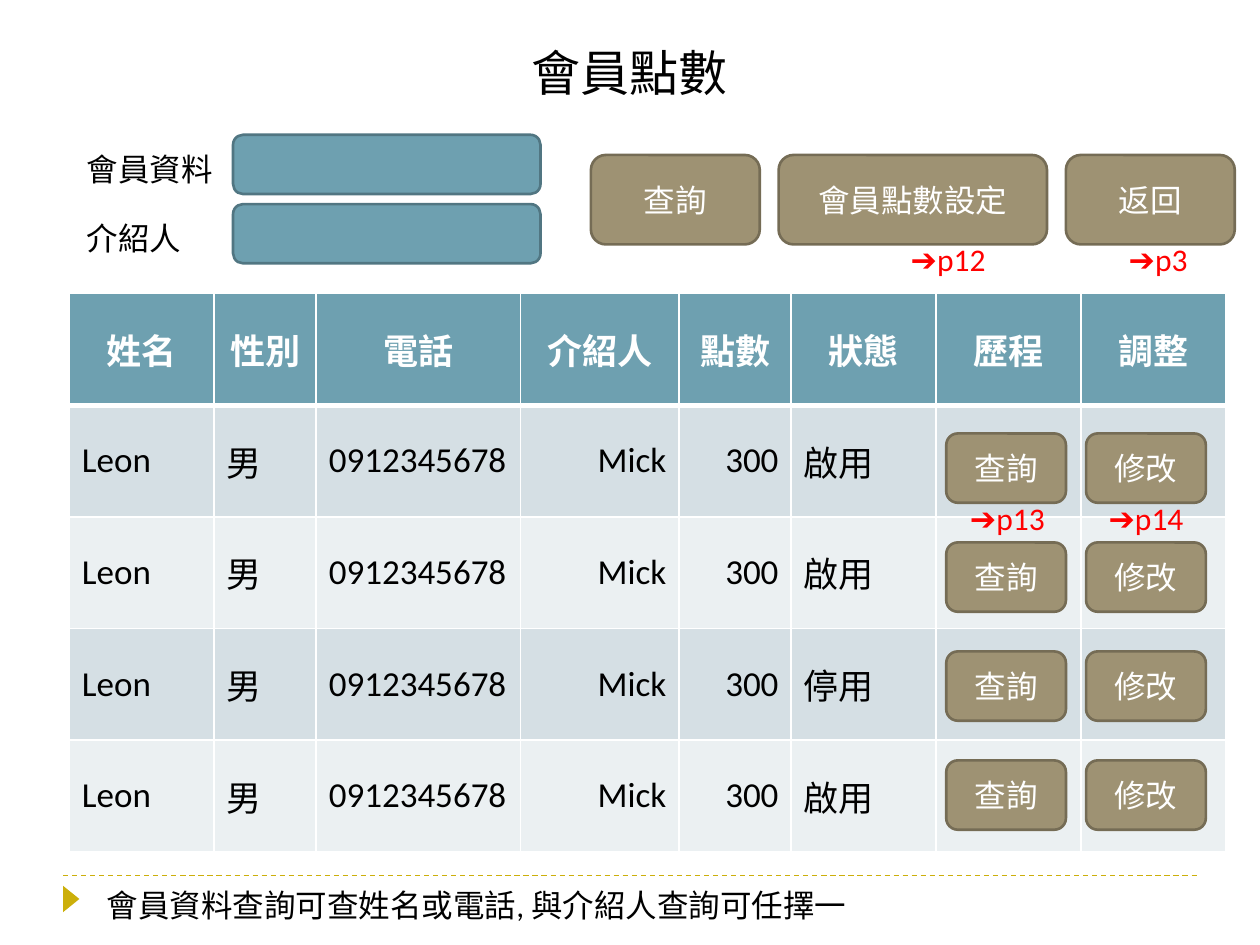
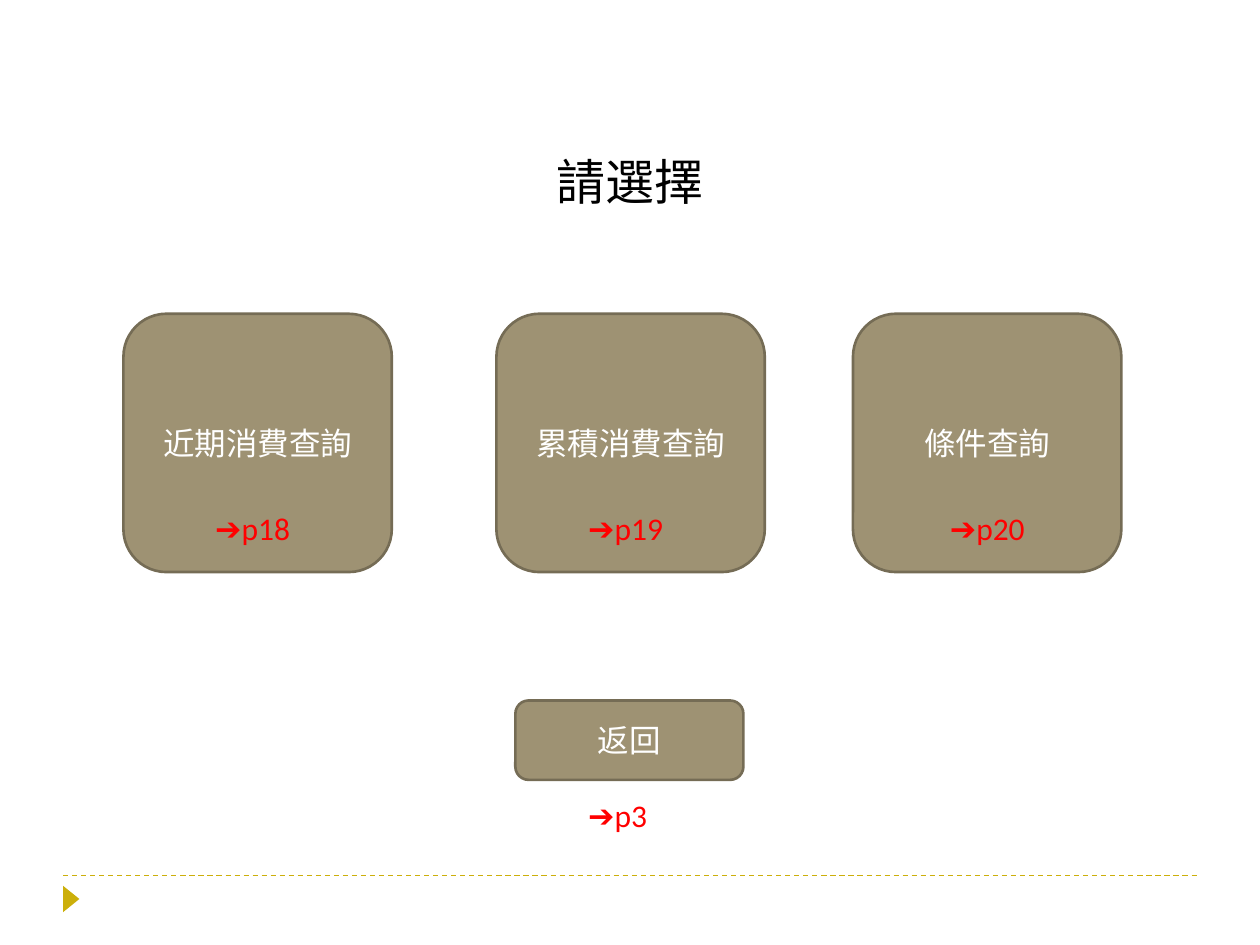
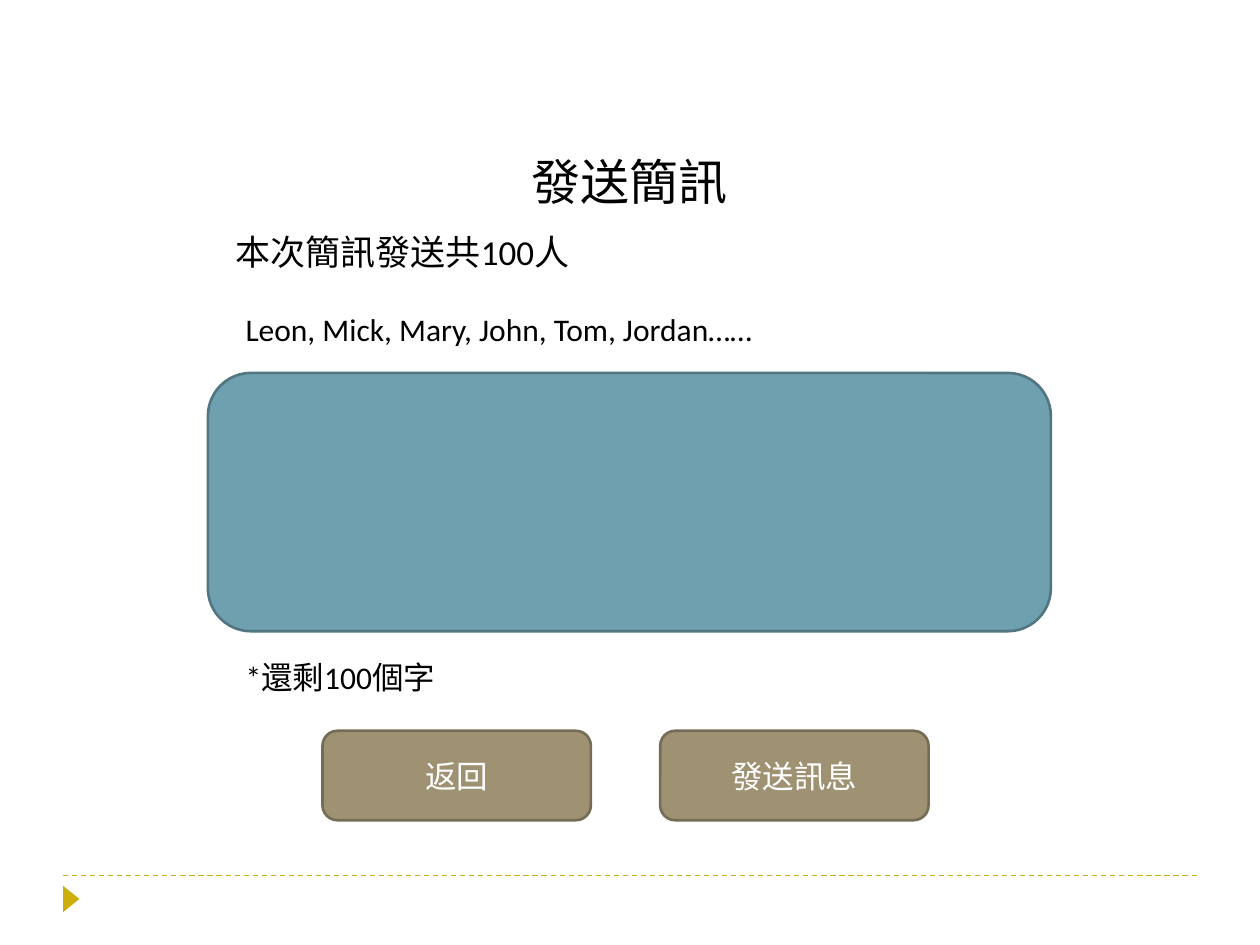
from lxml.etree import SubElement
from pptx import Presentation
from pptx.dml.color import RGBColor
from pptx.enum.dml import MSO_LINE
from pptx.enum.shapes import MSO_CONNECTOR, MSO_SHAPE
from pptx.enum.text import MSO_ANCHOR, MSO_AUTO_SIZE, PP_ALIGN
from pptx.oxml.ns import qn
from pptx.util import Inches, Pt

# Slide grid: 100 columns by 75 rows
WIDTH, HEIGHT = Inches(10), Inches(7.5)
COLUMN, ROW = WIDTH / 100, HEIGHT / 75

FONT = "Calibri"
BLACK, WHITE, RED, GOLD = "000000", "FFFFFF", "FF0000", "CCAF0A"
BUTTON = ("9E9273", "756C55")
FIELD = ("6EA0B0", "517682")
HEADER_FILL, BAND_FILLS = "6EA0B0", ("D5DFE4", "EBF0F2")
BODY_SIZE, LARGE_SIZE, TITLE_SIZE = 18, 20, 28

HEADERS = ["姓名", "性別", "電話", "介紹人", "點數", "狀態", "歷程", "調整"]
STATUSES = ["啟用", "啟用", "停用", "啟用"]
MEMBER_COLUMNS = [11.5, 8.1, 16.2, 12.6, 8.9, 11.5, 11.5, 11.5]
MEMBER_ROW = 8.86
RIGHT_ALIGNED = ("介紹人", "點數")


def rgb(hex_string):
    return RGBColor.from_string(hex_string)


def grid(left, top, width, height):
    return [int(left * COLUMN), int(top * ROW), int(width * COLUMN), int(height * ROW)]


def write(frame, text, size, color, align=PP_ALIGN.LEFT, bold=False):
    frame.text = text
    for paragraph in frame.paragraphs:
        paragraph.alignment = align
        for run in paragraph.runs:
            run.font.name = FONT
            run.font.size = Pt(size)
            run.font.bold = bold
            run.font.color.rgb = rgb(color)


def add_title(slide, text, top, left, width):
    title = slide.shapes.title
    title.left, title.top, title.width, title.height = grid(left, top, width, 5.7)
    frame = title.text_frame
    write(frame, text, TITLE_SIZE, BLACK, PP_ALIGN.CENTER)
    frame.word_wrap = False
    frame.auto_size = MSO_AUTO_SIZE.SHAPE_TO_FIT_TEXT
    frame.vertical_anchor = MSO_ANCHOR.TOP


def add_label(slide, text, left, top, width, size=BODY_SIZE, color=BLACK, wrap=False):
    height = 4.4 if size == LARGE_SIZE else 4
    frame = slide.shapes.add_textbox(*grid(left, top, width, height)).text_frame
    write(frame, text, size, color)
    frame.word_wrap = wrap


def add_page_mark(slide, page, left, top):
    width = 8.6 if page > 9 else 7.3
    add_label(slide, f"➔p{page}", left, top, width, color=RED)


def add_rounded(slide, place, colors, text=""):
    box = slide.shapes.add_shape(MSO_SHAPE.ROUNDED_RECTANGLE, *grid(*place))
    box.shadow.inherit = False
    fill, outline = colors
    box.fill.solid()
    box.fill.fore_color.rgb = rgb(fill)
    box.line.color.rgb = rgb(outline)
    box.line.width = Pt(1.5)
    if text:
        write(box.text_frame, text, BODY_SIZE, WHITE, PP_ALIGN.CENTER)
        box.text_frame.vertical_anchor = MSO_ANCHOR.MIDDLE


def add_footer(layout, slide):
    """Draw the footer rule and marker, then move them to the shared layout."""
    left, top, width, _ = grid(5, 69.5, 90, 0)
    rule = slide.shapes.add_connector(MSO_CONNECTOR.STRAIGHT, left, top, left + width, top)
    rule.line.color.rgb = rgb(GOLD)
    rule.line.width = Pt(0.75)
    rule.line.dash_style = MSO_LINE.DASH
    SubElement(rule.element.spPr, qn("a:effectLst"))

    marker = slide.shapes.add_shape(MSO_SHAPE.ISOSCELES_TRIANGLE, *grid(4.6, 70.7, 2.1, 1.3))
    marker.shadow.inherit = False
    marker.rotation = 90
    marker.fill.solid()
    marker.fill.fore_color.rgb = rgb(GOLD)
    marker.line.fill.background()

    for part in (rule, marker):
        layout.shapes.element.append(part.element)


def set_borders(cell, top, bottom):
    properties = cell._tc.get_or_add_tcPr()
    for side, points in (("lnL", 1), ("lnR", 1), ("lnT", top), ("lnB", bottom)):
        border = SubElement(properties, qn(f"a:{side}"), w=str(Pt(points)))
        fill = SubElement(border, qn("a:solidFill"))
        SubElement(fill, qn("a:srgbClr"), val=WHITE)


def add_member_table(slide):
    members = [["Leon", "男", "0912345678", "Mick", "300", status, "", ""] for status in STATUSES]
    rows = [HEADERS] + members
    place = grid(5.5, 23.3, sum(MEMBER_COLUMNS), MEMBER_ROW * len(rows))
    table = slide.shapes.add_table(len(rows), len(HEADERS), *place).table
    for column, width in zip(table.columns, MEMBER_COLUMNS):
        column.width = int(width * COLUMN)
    for r, values in enumerate(rows):
        table.rows[r].height = int(MEMBER_ROW * ROW)
        is_header = r == 0
        for c, value in enumerate(values):
            cell = table.cell(r, c)
            set_borders(cell, top=3 if r == 1 else 1, bottom=3 if is_header else 1)
            cell.fill.solid()
            cell.fill.fore_color.rgb = rgb(HEADER_FILL if is_header else BAND_FILLS[(r - 1) % 2])
            cell.vertical_anchor = MSO_ANCHOR.MIDDLE
            if is_header:
                align = PP_ALIGN.CENTER
            else:
                align = PP_ALIGN.RIGHT if HEADERS[c] in RIGHT_ALIGNED else PP_ALIGN.LEFT
            write(cell.text_frame, value, LARGE_SIZE, WHITE if is_header else BLACK,
                  align, bold=is_header)


def build_member_points(slide):
    add_title(slide, "會員點數", top=2.9, left=41.1, width=17.7)
    add_member_table(slide)

    # Search fields, with labels of one width
    for i, field in enumerate(["會員資料", "介紹人"]):
        add_rounded(slide, (18.5, 10.7 + 5.5 * i, 24.4, 4.7), FIELD)
        add_label(slide, field, 5.9, 11.4 + 5.5 * i, 12.4, wrap=True)

    # Top buttons
    for text, left, width in [("查詢", 46.9, 13.4), ("會員點數設定", 61.8, 21.3), ("返回", 84.6, 13.4)]:
        add_rounded(slide, (left, 12.3, width, 7.1), BUTTON, text)

    # Buttons in each member row
    for action, left in [("查詢", 75.1), ("修改", 86.2)]:
        for i in range(len(STATUSES)):
            add_rounded(slide, (left, 34.4 + 8.65 * i, 9.5, 5.5), BUTTON, action)

    for page, left, top in [(12, 71.3, 18.6), (3, 88.6, 18.6), (13, 76, 39.1), (14, 87, 39.1)]:
        add_page_mark(slide, page, left, top)

    add_label(slide, "會員資料查詢可查姓名或電話, 與介紹人查詢可任擇一", 7.5, 69.8, 62.5)


def build_query_menu(slide):
    add_title(slide, "請選擇", top=11.5, left=43.1, width=13.8)
    choices = [("近期消費查詢", 9.8, 18, 16.1), ("累積消費查詢", 39.4, 19, 45.7),
               ("條件查詢", 67.7, 20, 74.4)]
    for text, left, page, mark_left in choices:
        add_rounded(slide, (left, 24.9, 21.3, 20.5), BUTTON, text)
        add_page_mark(slide, page, mark_left, 39.9)
    add_rounded(slide, (40.9, 55.6, 18.1, 6.3), BUTTON, "返回")
    add_page_mark(slide, 3, 45.7, 62.7)


def build_message(slide):
    add_title(slide, "發送簡訊", top=11.5, left=41.1, width=17.7)

    # Recipients and message field
    add_label(slide, "本次簡訊發送共100人", 17.7, 17.8, 28.7, LARGE_SIZE, wrap=True)
    add_label(slide, "Leon, Mick, Mary, John, Tom, Jordan……", 18.5, 24.1, 43.2)
    add_rounded(slide, (16.5, 29.6, 66.9, 20.5), FIELD)
    add_label(slide, "*還剩100個字", 18.5, 51.7, 17.2, wrap=True)

    for text, left in [("返回", 25.6), ("發送訊息", 52.4)]:
        add_rounded(slide, (left, 58, 21.3, 7.1), BUTTON, text)


def main():
    deck = Presentation()
    deck.slide_width, deck.slide_height = WIDTH, HEIGHT
    title_only = deck.slide_layouts[5]
    builders = [build_member_points, build_query_menu, build_message]
    slides = [deck.slides.add_slide(title_only) for _ in builders]
    add_footer(title_only, slides[0])
    for build, slide in zip(builders, slides):
        build(slide)
    deck.save("out.pptx")


if __name__ == "__main__":
    main()
